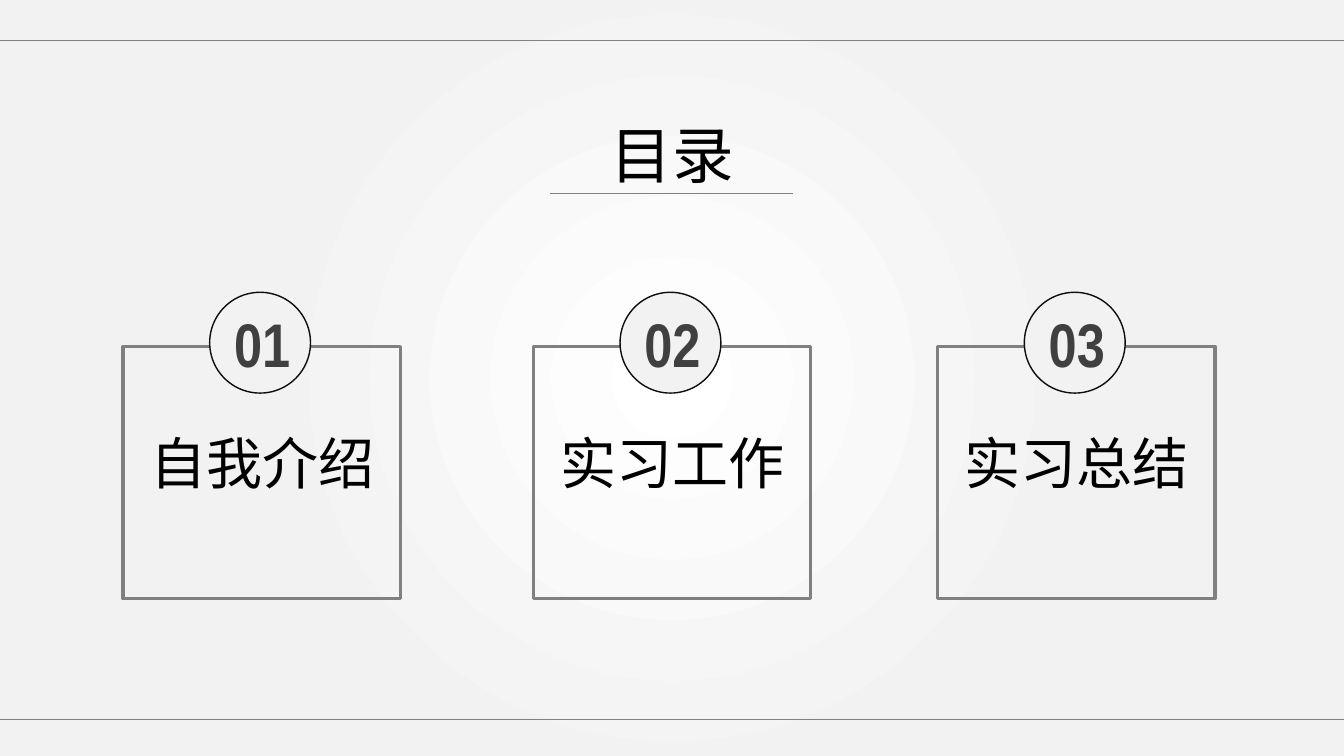
from dataclasses import dataclass
from lxml import etree
from pptx import Presentation
from pptx import util as u
from pptx.dml.color import RGBColor
from pptx.enum import shapes, text
from pptx.oxml.ns import qn


@dataclass(frozen=True)
class Theme:
    """Colours, fonts and type sizes of the slide."""
    white: str = "FFFFFF"
    pale: str = "F2F2F2"
    gray: str = "808080"
    dark: str = "404040"
    ink: str = "0D0D0D"
    black: str = "000000"
    han: str = "Noto Sans CJK SC"
    latin: str = "Arial Narrow"
    head: int = 44
    label: int = 40


T = Theme()


def rgb(tone):
    """Turn a hex string into a colour."""
    return RGBColor.from_string(tone)


def place(item, x, y, w, h):
    """Move and size an item, in inches."""
    item.left, item.top = u.Inches(x), u.Inches(y)
    item.width, item.height = u.Inches(w), u.Inches(h)


def write(item, words, size, font, tone, bold=False, wrap=True):
    """Fill an item with one centred line of text."""
    frame = item.text_frame
    frame.text = words
    frame.word_wrap = wrap
    frame.auto_size = text.MSO_AUTO_SIZE.NONE
    frame.vertical_anchor = text.MSO_ANCHOR.TOP
    para = frame.paragraphs[0]
    para.alignment = text.PP_ALIGN.CENTER
    run = para.runs[0]
    run.font.size, run.font.bold = u.Pt(size), bold
    run.font.color.rgb = rgb(tone)
    run.font.name = font
    etree.SubElement(run.font._element, qn("a:ea"), typeface=font)


def add_text(parts, box, *style, **more):
    """Add a text box with the given style."""
    write(parts.add_textbox(*map(u.Inches, box)), *style, **more)


def add_form(parts, kind, box, line, width, fill=None):
    """Add an outlined shape, filled or hollow."""
    form = parts.add_shape(kind, *map(u.Inches, box))
    form.shadow.inherit = False
    form.line.color.rgb, form.line.width = rgb(line), u.Pt(width)
    if fill:
        form.fill.solid()
        form.fill.fore_color.rgb = rgb(fill)
    else:
        form.fill.background()
    return form


def add_rule(parts, x, y, w):
    """Draw a thin level line."""
    ends = map(u.Inches, (x, y, x + w, y))
    rule = parts.add_connector(shapes.MSO_CONNECTOR.STRAIGHT, *ends)
    rule.line.color.rgb, rule.line.width = rgb(T.gray), u.Pt(0.5)
    etree.SubElement(rule._element.spPr, qn("a:effectLst"))


def add_back(slide):
    """Paint a round glow behind the slide."""
    fill = slide.background.fill
    fill.gradient()
    glow = zip(fill.gradient_stops, (T.white, T.pale), (0, 0.55))
    for stop, tone, spot in glow:
        stop.color.rgb, stop.position = rgb(tone), spot
    lin = next(slide.element.iter(qn("a:lin")))
    path = etree.Element(qn("a:path"), path="circle")
    etree.SubElement(path, qn("a:fillToRect"),
                     {side: "50000" for side in "ltrb"})
    lin.getparent().replace(lin, path)


def add_title(slide, words, x, y, w, h):
    """Set the title in its box, with a rule under it."""
    title = slide.shapes.title
    place(title, x, y, w, h)
    write(title, words, T.head, T.han, T.black)
    add_rule(slide.shapes, x + 0.21, y + 0.81, w - 0.43)


def add_card(slide, num, words, x, y, w, h):
    """Draw a framed topic with its number on the top edge."""
    parts = slide.shapes.add_group_shape().shapes
    kind = shapes.MSO_SHAPE
    frame = add_form(parts, kind.ROUNDED_RECTANGLE, (x, y, w, h),
                     T.gray, 2.25)
    frame.adjustments[0] = 0
    add_form(parts, kind.OVAL, (x + 0.86, y - 0.54, 1, 1),
             T.ink, 1, T.pale)
    add_text(parts, (x + 0.96, y - 0.45, 0.84, 0.84), f"{num:02}",
             T.head, T.latin, T.dark, bold=True, wrap=False)
    add_text(parts, (x + 0.05, y + 0.76, w - 0.09, 0.77), words,
             T.label, T.han, T.black)


def main():
    """Build the contents slide and save it."""
    deck = Presentation()
    deck.slide_width, deck.slide_height = u.Inches(13.33), u.Inches(7.5)
    slide = deck.slides.add_slide(deck.slide_layouts[5])
    add_back(slide)
    cards = (("自我介绍", 1.22), ("实习工作", 5.29), ("实习总结", 9.3))
    for num, (words, x) in enumerate(cards, 1):
        add_card(slide, num, words, x, 3.44, 2.75, 2.5)
    add_title(slide, "目录", 5.25, 1.11, 2.84, 0.84)
    for y in (0.4, 7.14):
        add_rule(slide.shapes, 0, y, 13.33)
    deck.save("out.pptx")


if __name__ == "__main__":
    main()
